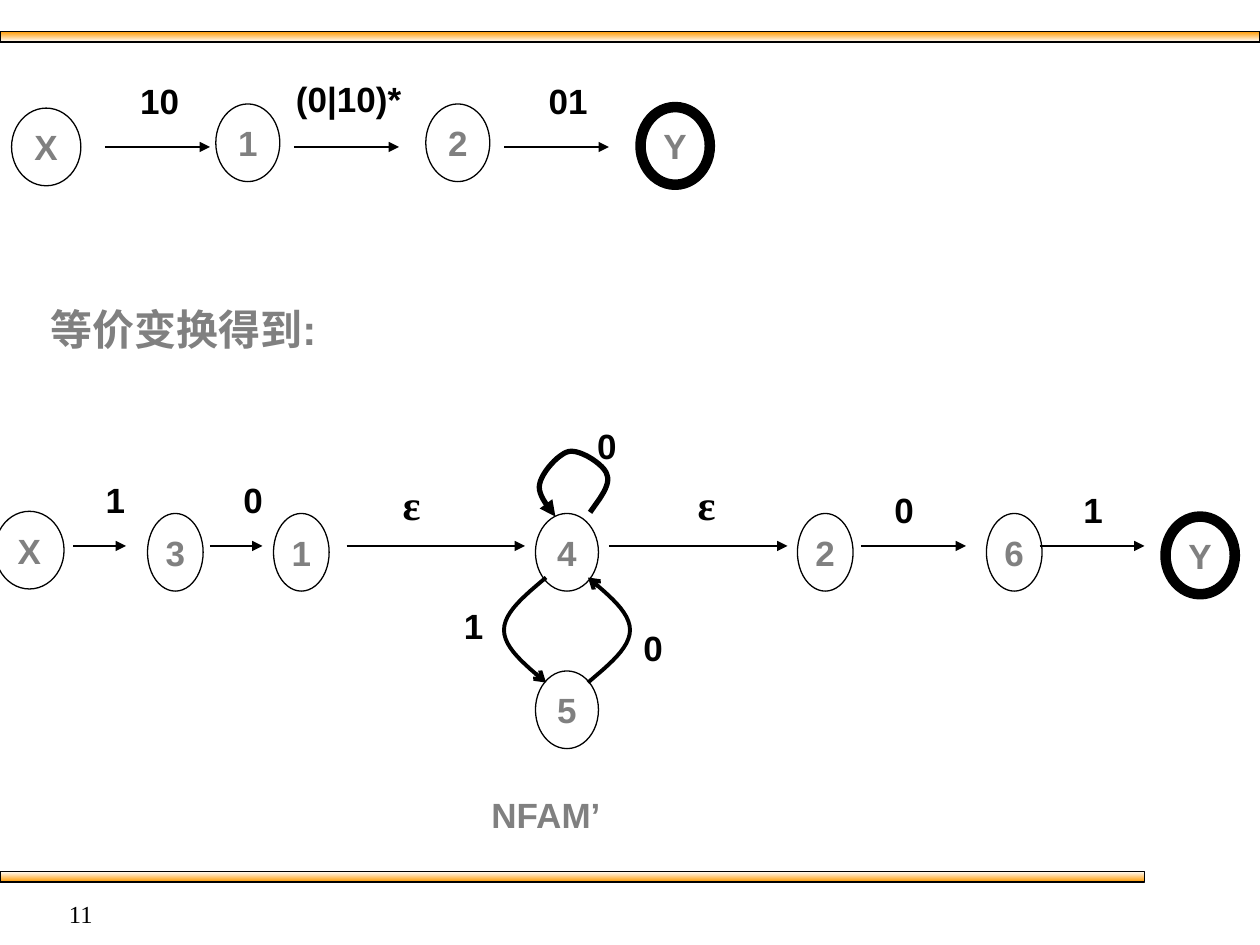
import pptx
import pptx.util
import pptx.dml.color
import pptx.enum.shapes
import pptx.enum.text
import pptx.oxml.ns
from lxml import etree

BLACK = pptx.dml.color.RGBColor(0x00, 0x00, 0x00)
GRAY = pptx.dml.color.RGBColor(0x80, 0x80, 0x80)
ORANGE = pptx.dml.color.RGBColor(0xFF, 0x99, 0x00)
WHITE = pptx.dml.color.RGBColor(0xFF, 0xFF, 0xFF)

ALIGN = pptx.enum.text.PP_ALIGN
ANCHOR = pptx.enum.text.MSO_ANCHOR
SHAPE = pptx.enum.shapes.MSO_SHAPE

SLIDE_WIDTH = pptx.util.Inches(10)
SLIDE_HEIGHT = pptx.util.Inches(7.5)
COLUMNS = 120
CELL = SLIDE_WIDTH / COLUMNS
STATE_HEIGHT = 7.4
STEPS = 12

REGEX_ROW = 14
NFA_ROW = 52

REGEX_STATES = [("X", 4.4, 14, 6.6), ("1", 23.6, 13.6, 6.1),
                ("2", 43.6, 13.6, 6.1)]
NFA_STATES = [("X", 2.8, 52.4, 6.6), ("3", 16.7, 52.6, 5.3),
              ("1", 28.7, 52.6, 5.3), ("4", 54, 52.6, 6),
              ("5", 54, 67.6, 6), ("2", 78.6, 52.6, 5.3),
              ("6", 96.6, 52.6, 5.3)]
FINAL_STATES = [("Y", 64.3, 13.9, 6.6), ("Y", 114.3, 52.9, 6.6)]

REGEX_MOVES = [(10, 20), (28, 38), (48, 58)]
NFA_MOVES = [(7, 12), (20, 25), (33, 50), (58, 75), (82, 92), (99, 109)]

INPUTS = [("10", 15.2, 9.6, 6.1), ("(0|10)*", 33.2, 9.4, 12.4),
          ("01", 54.1, 9.6, 6.1), ("1", 11, 47.6, 4.3),
          ("0", 24.1, 47.6, 4.3), ("0", 86.1, 48.6, 6.1),
          ("1", 104.1, 48.6, 6.1), ("0", 57.8, 42.5, 4.3),
          ("1", 45.1, 59.6, 4.3), ("0", 62.2, 61.7, 4.3)]
EPSILONS = [(39.2, 48), (67.3, 48)]

SELF_LOOP = [(56.2, 48.8), (57.1, 47.5), (58.2, 46.2), (57.8, 45.2),
             (57.6, 44.3), (55.3, 42.8), (54.2, 43),
             (53.2, 43.2), (51.6, 45), (51.4, 46.1),
             (51.1, 47.2), (52.6, 48.7), (52.9, 49.2)]
DOWN_ARC = [(52, 55), (50, 56.7), (48, 58.3), (48, 60),
            (48, 61.7), (50, 63.3), (52, 65)]
UP_ARC = [(108 - col, 120 - row) for col, row in DOWN_ARC]


def grid(cells):
    return round(cells * CELL)


def centered(col, row, width, height):
    return [grid(v) for v in (col - width / 2, row - height / 2, width, height)]


def set_text(shape, text, size, color, font="Arial", bold=True,
             align=ALIGN.CENTER, anchor=ANCHOR.TOP):
    frame = shape.text_frame
    frame.text = text
    frame.word_wrap = False
    frame.auto_size = pptx.enum.text.MSO_AUTO_SIZE.NONE
    frame.vertical_anchor = anchor
    paragraph = frame.paragraphs[0]
    paragraph.alignment = align
    run_font = paragraph.runs[0].font
    run_font.name = font
    run_font.size = pptx.util.Pt(size)
    run_font.bold = bold
    run_font.color.rgb = color


def set_line(shape, weight):
    shape.line.color.rgb = BLACK
    shape.line.width = pptx.util.Pt(weight)


def add_arrowhead(shape, head):
    outline = shape._element.spPr.get_or_add_ln()
    etree.SubElement(outline, pptx.oxml.ns.qn("a:tailEnd"), type=head)


def add_bar(slide, row, width, top_color, bottom_color):
    bar = slide.shapes.add_shape(SHAPE.RECTANGLE, 0, grid(row), grid(width), grid(1))
    bar.shadow.inherit = False
    bar.fill.gradient()
    bar.fill.gradient_angle = 270
    for stop, position, color in zip(bar.fill.gradient_stops, (0, 1),
                                     (top_color, bottom_color)):
        stop.position = position
        stop.color.rgb = color
    set_line(bar, 0.75)


def add_state(slide, name, col, row, width, weight=0.75):
    state = slide.shapes.add_shape(SHAPE.OVAL,
                                   *centered(col, row, width, STATE_HEIGHT))
    state.shadow.inherit = False
    state.fill.background()
    set_line(state, weight)
    set_text(state, name, 20, GRAY, anchor=ANCHOR.MIDDLE)


def add_move(slide, row, start, end):
    move = slide.shapes.add_connector(pptx.enum.shapes.MSO_CONNECTOR.STRAIGHT,
                                      grid(start), grid(row), grid(end), grid(row))
    set_line(move, 0.75)
    add_arrowhead(move, "triangle")
    etree.SubElement(move._element.spPr, pptx.oxml.ns.qn("a:effectLst"))


def add_label(slide, text, col, row, width, height=5.3, size=20, color=BLACK,
              font="Arial"):
    label = slide.shapes.add_textbox(*centered(col, row, width, height))
    set_text(label, text, size, color, font)


def bezier_points(controls):
    for first in range(0, len(controls) - 1, 3):
        segment = controls[first:first + 4]
        for step in range(1, STEPS + 1):
            t = step / STEPS
            weights = ((1 - t) ** 3, 3 * t * (1 - t) ** 2,
                       3 * t ** 2 * (1 - t), t ** 3)
            yield tuple(grid(sum(w * point[axis] for w, point in zip(weights, segment)))
                        for axis in (0, 1))


def add_curve(slide, controls, weight, head):
    start_col, start_row = controls[0]
    builder = slide.shapes.build_freeform(grid(start_col), grid(start_row))
    builder.add_line_segments(list(bezier_points(controls)), close=False)
    curve = builder.convert_to_shape()
    curve.shadow.inherit = False
    curve.fill.background()
    set_line(curve, weight)
    add_arrowhead(curve, head)


def add_heading(slide):
    heading = slide.shapes.title
    heading.left, heading.top = grid(3.6), grid(28.3)
    heading.width, heading.height = grid(28.8), grid(6)
    set_text(heading, "等价变换得到:", 24, GRAY, align=ALIGN.LEFT)


def add_page_number(slide):
    number = slide.shapes.add_textbox(0, grid(85), grid(10), grid(3))
    set_text(number, "11", 14, BLACK, "Times New Roman", False, ALIGN.RIGHT)


def main():
    deck = pptx.Presentation()
    deck.slide_width, deck.slide_height = SLIDE_WIDTH, SLIDE_HEIGHT
    slide = deck.slides.add_slide(deck.slide_layouts[5])
    add_bar(slide, 3, COLUMNS, ORANGE, WHITE)
    add_bar(slide, 83, 109, WHITE, ORANGE)
    add_heading(slide)
    for state in REGEX_STATES + NFA_STATES:
        add_state(slide, *state)
    for state in FINAL_STATES:
        add_state(slide, *state, weight=6)
    for row, moves in ((REGEX_ROW, REGEX_MOVES), (NFA_ROW, NFA_MOVES)):
        for start, end in moves:
            add_move(slide, row, start, end)
    add_curve(slide, SELF_LOOP, 3, "triangle")
    for arc in (DOWN_ARC, UP_ARC):
        add_curve(slide, arc, 2.25, "arrow")
    for symbol in INPUTS:
        add_label(slide, *symbol)
    for col, row in EPSILONS:
        add_label(slide, "ε", col, row, 4.2, 6, 24, font="Times New Roman")
    add_label(slide, "NFAM’", 52, 77.6, 13.1, color=GRAY)
    add_page_number(slide)
    deck.save("out.pptx")


if __name__ == "__main__":
    main()
